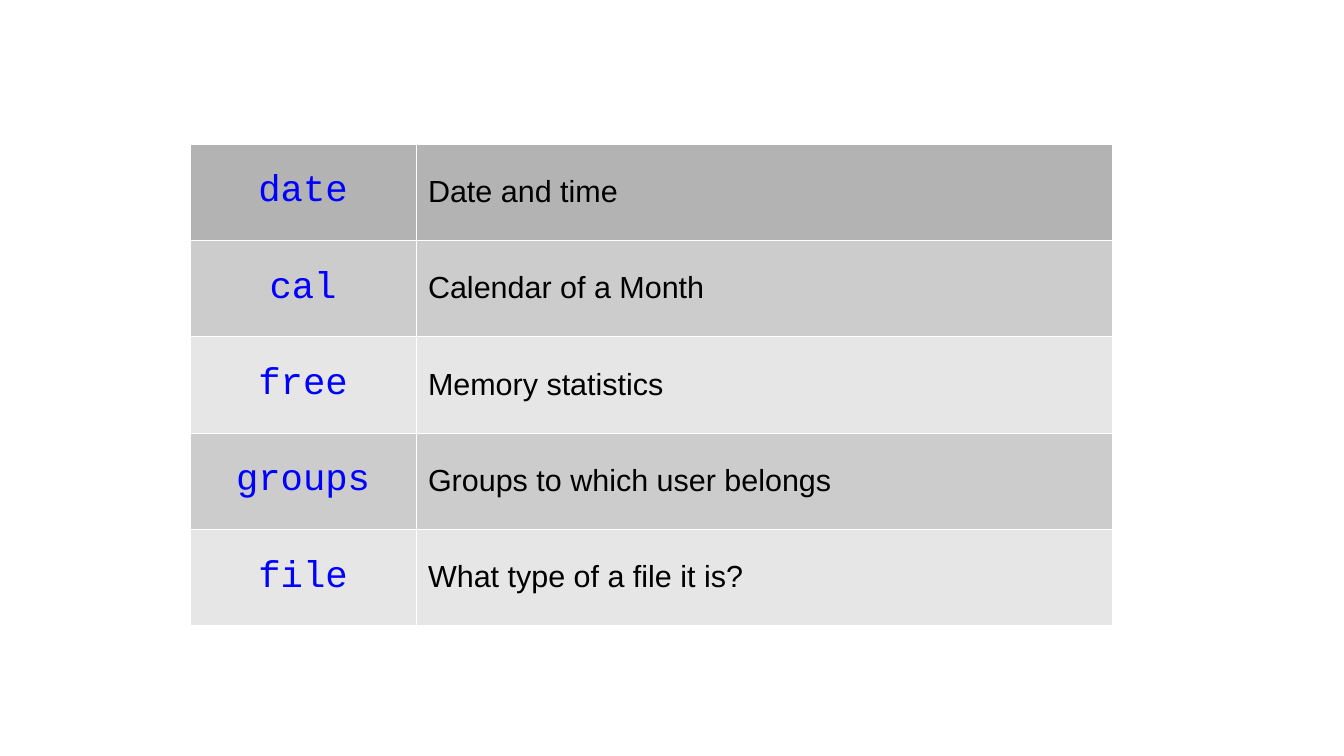
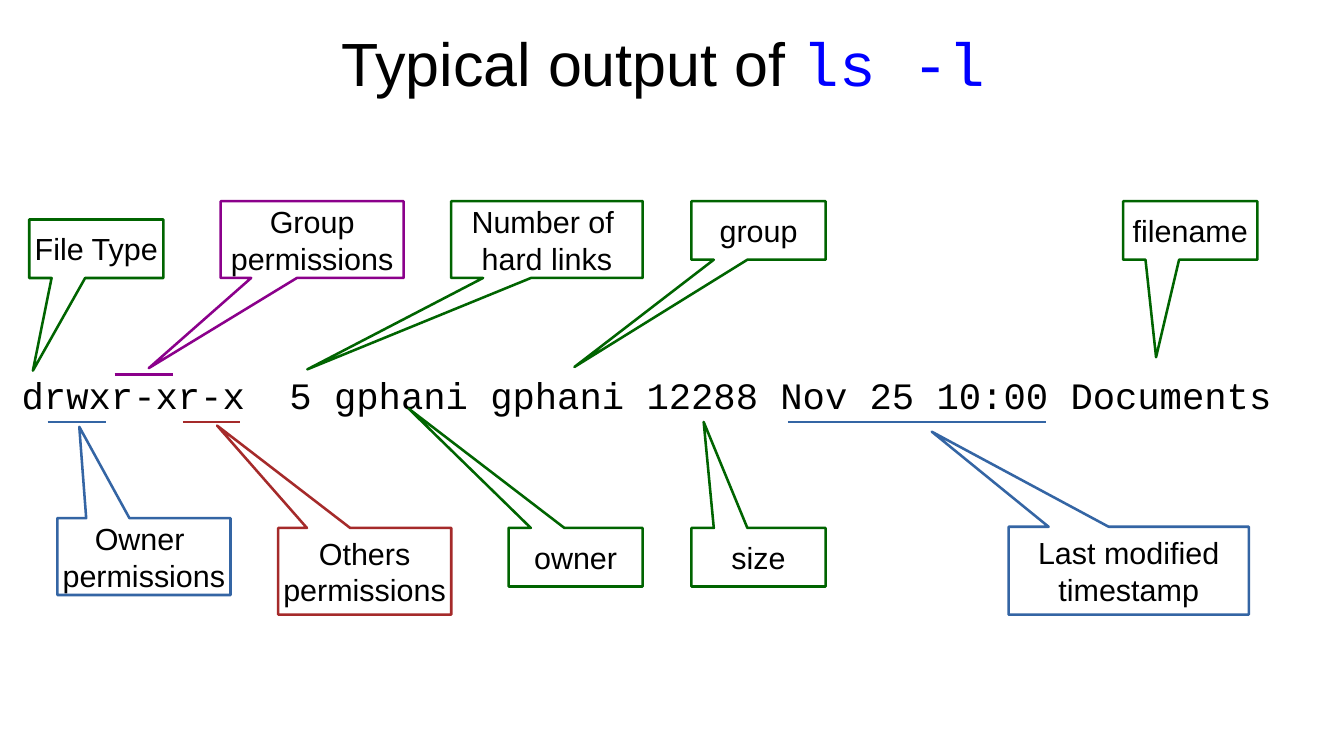
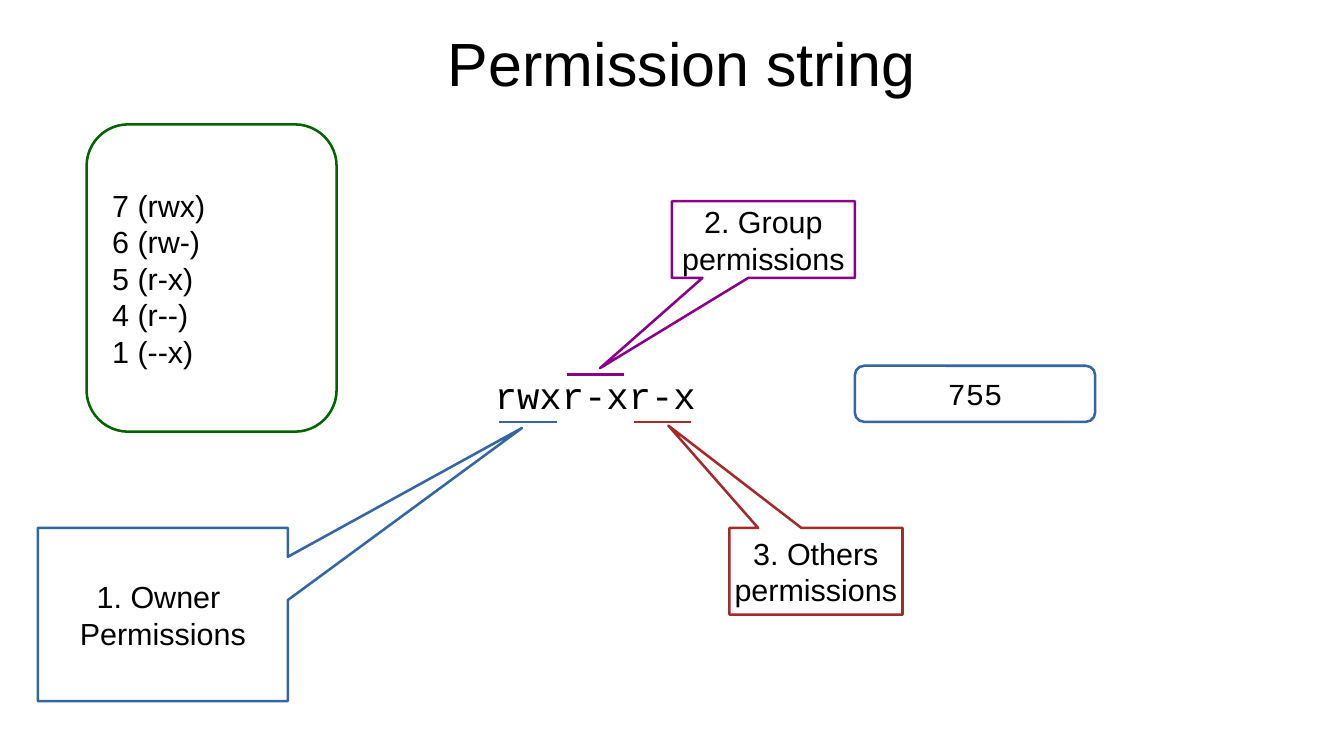
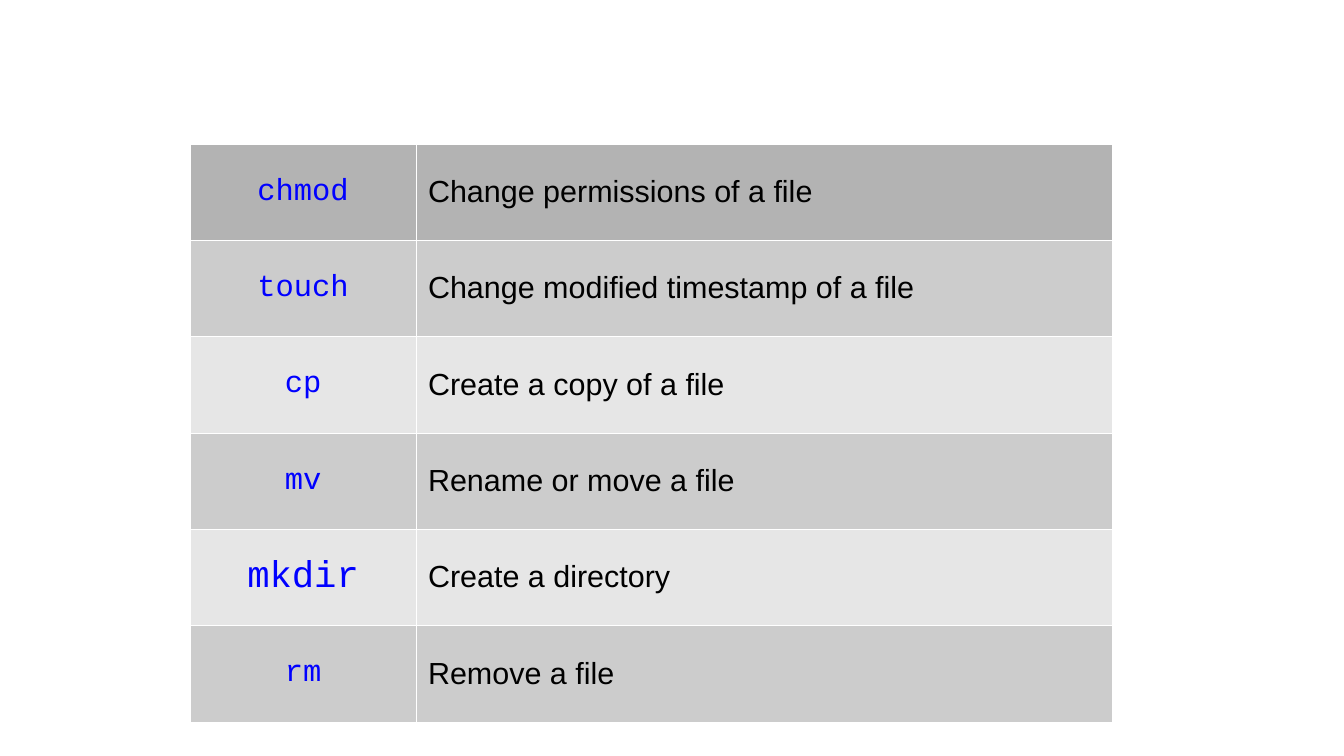
from lxml.etree import SubElement
from pptx import Presentation
from pptx.dml.color import RGBColor
from pptx.enum.shapes import MSO_CONNECTOR, MSO_SHAPE as SHAPE
from pptx.enum.text import MSO_ANCHOR as ANCHOR, MSO_AUTO_SIZE, PP_ALIGN as ALIGN
from pptx.oxml.ns import qn
from pptx.util import Inches, Pt

BLACK = RGBColor(0x00, 0x00, 0x00)
WHITE = RGBColor(0xFF, 0xFF, 0xFF)
COMMAND_BLUE = RGBColor(0x00, 0x00, 0xFF)
GREEN = RGBColor(0x00, 0x64, 0x00)
PURPLE = RGBColor(0x8B, 0x00, 0x8B)
BROWN = RGBColor(0xA5, 0x2A, 0x2A)
BLUE = RGBColor(0x34, 0x65, 0xA4)
HEAD_GREY = RGBColor(0xB3, 0xB3, 0xB3)
BAND_GREYS = [RGBColor(0xE6, 0xE6, 0xE6), RGBColor(0xCC, 0xCC, 0xCC)]
SANS, MONO = "Arial", "Courier New"
ROW_HEIGHT = 0.79
COLUMN_WIDTHS = [1.85, 5.71]
LINE_WIDTH = Pt(1.5)

prs = Presentation()
prs.slide_width, prs.slide_height = Inches(11.02), Inches(6.2)
TITLE_ONLY, BLANK = prs.slide_layouts[5], prs.slide_layouts[6]


def write(frame, text, size=18, font=SANS, color=BLACK, align=ALIGN.LEFT):
    frame.text = text
    for paragraph in frame.paragraphs:
        paragraph.alignment = align
        paragraph.font.size = Pt(size)
        paragraph.font.name = font
        paragraph.font.color.rgb = color


def add_outlined(slide, kind, box, text, color, font=SANS, align=ALIGN.CENTER):
    """Add an unfilled shape with a coloured outline and middle-anchored text."""
    shape = slide.shapes.add_shape(kind, *map(Inches, box))
    shape.shadow.inherit = False
    shape.fill.background()
    shape.line.color.rgb = color
    shape.line.width = LINE_WIDTH
    frame = shape.text_frame
    frame.margin_left = frame.margin_right = Inches(0.11)
    frame.margin_top = frame.margin_bottom = Inches(0.06)
    frame.vertical_anchor = ANCHOR.MIDDLE
    frame.word_wrap = align == ALIGN.LEFT
    write(frame, text, font=font, align=align)
    return shape


slides = [prs.slides.add_slide(layout) for layout in (BLANK, TITLE_ONLY, TITLE_ONLY, BLANK)]
general_slide, listing_slide, permission_slide, file_slide = slides

# Command tables: command, its text size, meaning
command_tables = [
    (general_slide, [
        ("date", 22, "Date and time"),
        ("cal", 22, "Calendar of a Month"),
        ("free", 22, "Memory statistics"),
        ("groups", 22, "Groups to which user belongs"),
        ("file", 22, "What type of a file it is?"),
    ]),
    (file_slide, [
        ("chmod", 18, "Change permissions of a file"),
        ("touch", 18, "Change modified timestamp of a file"),
        ("cp", 18, "Create a copy of a file"),
        ("mv", 18, "Rename or move a file"),
        ("mkdir", 22, "Create a directory"),
        ("rm", 18, "Remove a file"),
    ]),
]
for slide, commands in command_tables:
    table = slide.shapes.add_table(
        len(commands), 2, Inches(1.56), Inches(1.18),
        Inches(sum(COLUMN_WIDTHS)), Inches(ROW_HEIGHT * len(commands))).table
    table.first_row = table.horz_banding = False
    for column, width in zip(table.columns, COLUMN_WIDTHS):
        column.width = Inches(width)
    for row, (command, size, meaning) in enumerate(commands):
        table.rows[row].height = Inches(ROW_HEIGHT)
        command_cell, meaning_cell = table.cell(row, 0), table.cell(row, 1)
        write(command_cell.text_frame, command, size, MONO, COMMAND_BLUE, ALIGN.CENTER)
        write(meaning_cell.text_frame, meaning)
        for cell in (command_cell, meaning_cell):
            cell.vertical_anchor = ANCHOR.MIDDLE
            properties = cell._tc.get_or_add_tcPr()
            for side in ("a:lnL", "a:lnR", "a:lnT", "a:lnB"):
                border = SubElement(properties, qn(side), w=str(Pt(0.06)))
                border_fill = SubElement(border, qn("a:solidFill"))
                SubElement(border_fill, qn("a:srgbClr"), val=str(WHITE))
            cell.fill.solid()
            cell.fill.fore_color.rgb = BAND_GREYS[row % 2] if row else HEAD_GREY

# Titles, as runs of text, font and colour
titles = [
    (listing_slide, [("Typical output of ", SANS, BLACK), ("ls -l ", MONO, COMMAND_BLUE)]),
    (permission_slide, [("Permission string", SANS, BLACK)]),
]
for slide, parts in titles:
    title = slide.shapes.title
    title.left, title.top, title.width, title.height = map(Inches, (1.93, 0.16, 7.32, 0.72))
    title.text_frame.auto_size = MSO_AUTO_SIZE.NONE
    title.text_frame.vertical_anchor = ANCHOR.TOP
    heading = title.text_frame.paragraphs[0]
    heading.alignment = ALIGN.CENTER
    heading.font.size = Pt(36)
    for text, font, color in parts:
        run = heading.add_run()
        run.text = text
        run.font.name = font
        run.font.color.rgb = color

# Terminal output: left, width, text
for slide, left, width, output in [
    (listing_slide, 0.08, 10.87, "drwxr-xr-x  5 gphani gphani 12288 Nov 25 10:00 Documents"),
    (permission_slide, 3.96, 3.44, "rwxr-xr-x"),
]:
    terminal = slide.shapes.add_textbox(Inches(left), Inches(3), Inches(width), Inches(0.86))
    terminal.text_frame.word_wrap = True
    write(terminal.text_frame, output, 22, MONO)

# Callouts: box, point of the tip, text, colour
callouts = [
    (listing_slide, [
        ((1.81, 1.65, 1.5, 0.63), (1.22, 3.02), "Group\npermissions", PURPLE),
        ((3.7, 1.65, 1.57, 0.63), (2.52, 3.03), "Number of \nhard links", GREEN),
        ((2.28, 4.33, 1.42, 0.71), (1.78, 3.49), "Others\npermissions", BROWN),
        ((0.47, 4.25, 1.42, 0.63), (0.65, 3.5), "Owner \npermissions", BLUE),
        ((5.67, 4.33, 1.1, 0.48), (5.77, 3.46), "size", GREEN),
        ((0.24, 1.8, 1.1, 0.48), (0.27, 3.04), "File Type", GREEN),
        ((4.17, 4.33, 1.1, 0.48), (3.35, 3.35), "owner", GREEN),
        ((5.67, 1.65, 1.1, 0.48), (4.71, 3.01), "group", GREEN),
        ((9.21, 1.65, 1.1, 0.48), (9.48, 2.93), "filename", GREEN),
        ((8.27, 4.32, 1.97, 0.72), (7.64, 3.54), "Last modified\ntimestamp", BLUE),
    ]),
    (permission_slide, [
        ((5.51, 1.65, 1.5, 0.63), (4.92, 3.02), "2. Group\npermissions", PURPLE),
        ((5.98, 4.33, 1.42, 0.71), (5.48, 3.49), "3. Others\npermissions", BROWN),
        ((0.31, 4.33, 2.05, 1.42), (4.28, 3.51), "1. Owner \nPermissions", BLUE),
    ]),
]
for slide, labels in callouts:
    for box, (tip_x, tip_y), text, color in labels:
        callout = add_outlined(slide, SHAPE.RECTANGULAR_CALLOUT, box, text, color)
        left, top, width, height = box
        callout.adjustments[0] = (tip_x - left) / width - 0.5
        callout.adjustments[1] = (tip_y - top) / height - 0.5

# Marks along the terminal output: start, end, height, colour
marks = [
    (listing_slide, [
        (0.39, 0.87, 3.46, BLUE), (0.94, 1.42, 3.07, PURPLE),
        (1.5, 1.97, 3.46, BROWN), (6.46, 8.58, 3.46, BLUE),
    ]),
    (permission_slide, [
        (4.09, 4.57, 3.46, BLUE), (4.65, 5.12, 3.07, PURPLE), (5.2, 5.67, 3.46, BROWN),
    ]),
]
for slide, strokes in marks:
    for start, end, y, color in strokes:
        mark = slide.shapes.add_connector(
            MSO_CONNECTOR.STRAIGHT, Inches(start), Inches(y), Inches(end), Inches(y))
        mark.line.color.rgb = color
        mark.line.width = LINE_WIDTH
        SubElement(mark._element.spPr, qn("a:effectLst"))

# Octal digits and the resulting mode
add_outlined(permission_slide, SHAPE.ROUNDED_RECTANGLE, (0.71, 1.02, 2.05, 2.52),
             "7 (rwx)\n6 (rw-)\n5 (r-x)\n4 (r--)\n1 (--x)", GREEN, align=ALIGN.LEFT)
add_outlined(permission_slide, SHAPE.ROUNDED_RECTANGLE, (7.01, 3, 1.97, 0.46),
             "755", BLUE, font=MONO)

prs.save("out.pptx")
